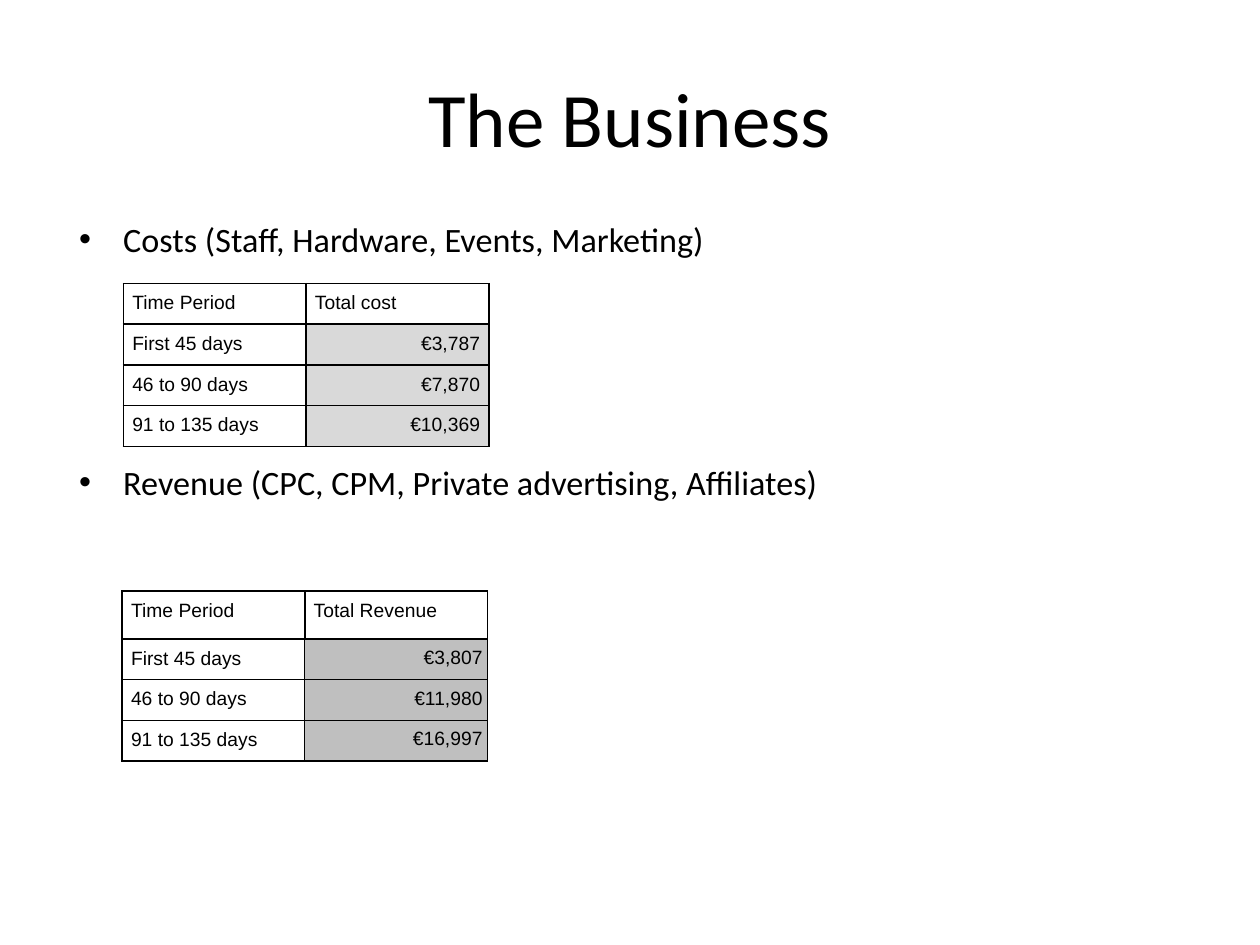
from dataclasses import dataclass
from lxml import etree
from pptx import Presentation
from pptx.dml.color import RGBColor
from pptx.enum.text import MSO_ANCHOR, PP_ALIGN
from pptx.oxml.ns import qn
from pptx.util import Inches, Pt

MIDDLE = MSO_ANCHOR.MIDDLE
LEFT, CENTER, RIGHT = PP_ALIGN.LEFT, PP_ALIGN.CENTER, PP_ALIGN.RIGHT


@dataclass(frozen=True)
class Theme:
    ink: str = "000000"
    light: str = "D9D9D9"
    dark: str = "BFBFBF"
    head: str = "Calibri"
    data: str = "Arial"
    title: float = 44
    body: float = 19.5
    cell: float = 11


THEME = Theme()
COSTS = [
    ("Time Period", "Total cost"),
    ("First 45 days", "€3,787"),
    ("46 to 90 days", "€7,870"),
    ("91 to 135 days", "€10,369"),
]
SALES = [
    ("Time Period", "Total Revenue"),
    ("First 45 days", "€3,807"),
    ("46 to 90 days", "€11,980"),
    ("91 to 135 days", "€16,997"),
]
POINTS = [
    ("Costs (Staff, Hardware, Events, Marketing)", 4.5),
    ("Revenue (CPC, CPM, Private advertising, Affiliates)", 120),
]


def style(para, face, size, align=LEFT):
    para.alignment = align
    para.font.name = face
    para.font.size = Pt(size)
    para.font.color.rgb = RGBColor.from_string(THEME.ink)


def add_text(slide, box):
    frame = slide.shapes.add_textbox(*map(Inches, box)).text_frame
    frame.word_wrap = True
    return frame


def add_title(slide, box, text):
    frame = add_text(slide, box)
    frame.vertical_anchor = MIDDLE
    para = frame.paragraphs[0]
    para.text = text
    style(para, THEME.head, THEME.title, CENTER)


def add_points(slide, box, points):
    frame = add_text(slide, box)
    for i, (text, gap) in enumerate(points):
        para = frame.add_paragraph() if i else frame.paragraphs[0]
        para.text = text
        style(para, THEME.head, THEME.body)
        para.line_spacing = 0.8
        para.space_before = Pt(gap)
        props = para._p.get_or_add_pPr()
        props.set("marL", str(Inches(0.38)))
        props.set("indent", str(Inches(-0.35)))
        etree.SubElement(props, qn("a:buFont"), typeface=THEME.data)
        etree.SubElement(props, qn("a:buChar"), char="•")


def add_edges(cell, widths):
    props = cell._tc.get_or_add_tcPr()
    for side, width in zip("LRTB", widths):
        line = etree.SubElement(props, qn("a:ln" + side), w=str(Pt(width)))
        fill = etree.SubElement(line, qn("a:solidFill"))
        etree.SubElement(fill, qn("a:srgbClr"), val=THEME.ink)


def add_grid(slide, box, rows, top, shade, pad, mid, lead):
    left, y, width, step = box
    high = top + step * (len(rows) - 1)
    size = map(Inches, (left, y, width, high))
    table = slide.shapes.add_table(len(rows), 2, *size).table
    table.first_row = table.horz_banding = False
    for r, row in enumerate(rows):
        table.rows[r].height = Inches(step if r else top)
        for c, text in enumerate(row):
            cell = table.cell(r, c)
            value = r > 0 and c == 1
            inset = Inches(pad if value else 0.07)
            cell.margin_left = cell.margin_right = inset
            cell.margin_top = cell.margin_bottom = inset
            inner = mid if r else 1
            add_edges(cell, (inner, 1, 1, 1) if c else (1, inner, 1, 1))
            if value:
                cell.fill.solid()
                cell.fill.fore_color.rgb = RGBColor.from_string(shade)
            else:
                cell.fill.background()
            para = cell.text_frame.paragraphs[0]
            para.text = text
            style(para, THEME.data, THEME.cell, RIGHT if value else LEFT)
            if value:
                para.line_spacing = lead


def main():
    deck = Presentation()
    deck.slide_width, deck.slide_height = Inches(10), Inches(7.5)
    slide = deck.slides.add_slide(deck.slide_layouts[6])
    add_title(slide, (0.5, 0.3, 9, 1.25), "The Business")
    add_points(slide, (0.5, 1.75, 9, 5.63), POINTS)
    add_grid(slide, (0.98, 2.25, 2.9, 0.31), COSTS, 0.31, THEME.light, 0.07, 1, 1)
    add_grid(slide, (0.97, 4.69, 2.9, 0.31), SALES, 0.38, THEME.dark, 0.04, 0.75, 1.15)
    deck.save("out.pptx")


if __name__ == "__main__":
    main()
